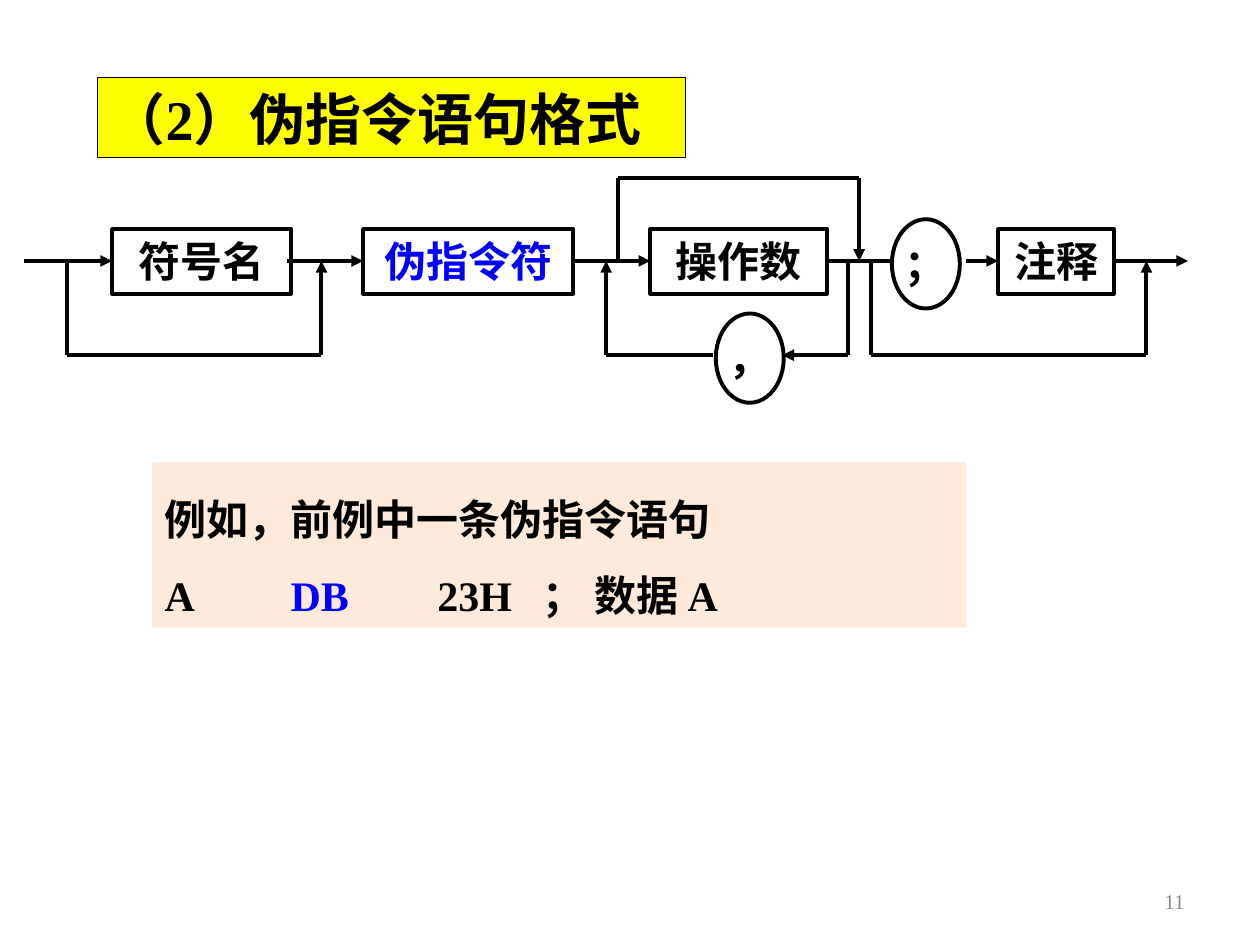
"""Build the slide on the format of a pseudo-instruction statement."""
from dataclasses import dataclass
from itertools import pairwise

from lxml import etree
from pptx import Presentation
from pptx.dml.color import RGBColor
from pptx.enum.shapes import MSO_CONNECTOR, MSO_SHAPE
from pptx.enum.text import MSO_ANCHOR, PP_ALIGN
from pptx.oxml.ns import qn
from pptx.util import Cm, Pt

RECT, OVAL = MSO_SHAPE.RECTANGLE, MSO_SHAPE.OVAL
STRAIGHT = MSO_CONNECTOR.STRAIGHT
LEFT, CENTER, RIGHT = PP_ALIGN.LEFT, PP_ALIGN.CENTER, PP_ALIGN.RIGHT
TOP, MIDDLE = MSO_ANCHOR.TOP, MSO_ANCHOR.MIDDLE
FONT = "Times New Roman"
BLACK, BLUE, GREY = "000000", "0000FF", "898989"
YELLOW, PEACH = "FFFF00", "FDEADA"
STROKE = 2.25
MAIN_Y, LOOP_Y, SKIP_Y = 5.26, 7.16, 3.58
BOX_TOP, BOX_HEIGHT = 4.62, 1.3
OVAL_WIDTH, OVAL_HEIGHT = 1.37, 1.8


@dataclass
class Node:
    text: str
    left: float
    width: float = OVAL_WIDTH
    top: float = BOX_TOP
    height: float = BOX_HEIGHT
    kind: int = RECT
    color: str = BLACK


@dataclass
class Route:
    points: list[tuple[float, float]]
    arrow: bool = True


NODES = [
    Node("符号名", 2.26, 3.61),
    Node("伪指令符", 7.32, 4.24, color=BLUE),
    Node("操作数", 13.11, 3.56),
    Node("注释", 20.12, 2.34),
    Node("；", 17.98, top=4.42, height=OVAL_HEIGHT, kind=OVAL),
    Node("，", 14.43, top=6.32, height=OVAL_HEIGHT, kind=OVAL),
]


def straight(start: float, end: float, arrow: bool = True) -> Route:
    """Return a route along the main line."""
    return Route([(start, MAIN_Y), (end, MAIN_Y)], arrow)


def detour(start: float, end: float, y: float) -> Route:
    """Return a route that leaves the main line and comes back to it."""
    return Route([(start, MAIN_Y), (start, y), (end, y), (end, MAIN_Y)])


ROUTES = [
    straight(0.48, 2.26),
    straight(5.79, 7.32),
    straight(11.56, 13.11),
    straight(16.66, 17.98, arrow=False),
    straight(19.48, 20.12),
    straight(22.48, 23.95),
    detour(1.35, 6.48, LOOP_Y),
    detour(12.45, 17.32, SKIP_Y),
    detour(17.55, 23.11, LOOP_Y),
    Route([(17.09, MAIN_Y), (17.09, LOOP_Y), (15.77, LOOP_Y)]),
    Route([(14.38, LOOP_Y), (12.22, LOOP_Y), (12.22, MAIN_Y)]),
]


def rgb(color: str) -> RGBColor:
    """Turn a hex string into a colour."""
    return RGBColor.from_string(color)


def add_run(p, text: str, *, size: float = 24, color: str = BLACK, bold: bool = True) -> None:
    """Add a formatted run to a paragraph."""
    r = p.add_run()
    r.text = text
    r.font.name, r.font.size, r.font.bold = FONT, Pt(size), bold
    r.font.color.rgb = rgb(color)


def write(sp, text: str, *, align=LEFT, anchor=TOP, wrap: bool = False, **style) -> None:
    """Write one line of text into a shape."""
    tf = sp.text_frame
    tf.word_wrap, tf.vertical_anchor = wrap, anchor
    p = tf.paragraphs[0]
    p.alignment = align
    add_run(p, text, **style)


def add_box(s, kind: int, left: float, top: float, width: float, height: float,
            *, fill: str = "", line: float = 0):
    """Add a shape with an optional fill and black outline."""
    sp = s.shapes.add_shape(kind, Cm(left), Cm(top), Cm(width), Cm(height))
    sp.shadow.inherit = False
    if fill:
        sp.fill.solid()
        sp.fill.fore_color.rgb = rgb(fill)
    else:
        sp.fill.background()
    if line:
        sp.line.color.rgb = rgb(BLACK)
        sp.line.width = Pt(line)
    else:
        sp.line.fill.background()
    return sp


def draw_node(s, node: Node) -> None:
    """Draw one element of the syntax diagram."""
    sp = add_box(s, node.kind, node.left, node.top, node.width, node.height, line=STROKE)
    write(sp, node.text, align=CENTER, color=node.color)


def draw_route(s, route: Route) -> None:
    """Draw a route as straight lines, with an arrowhead on the last."""
    for start, end in pairwise(route.points):
        ends = [Cm(v) for v in (*start, *end)]
        cx = s.shapes.add_connector(STRAIGHT, *ends)
        cx.line.color.rgb = rgb(BLACK)
        cx.line.width = Pt(STROKE)
        if route.arrow and end == route.points[-1]:
            ln = cx.line._get_or_add_ln()
            etree.SubElement(ln, qn("a:tailEnd"), type="triangle")
        etree.SubElement(cx._element.spPr, qn("a:effectLst"))


def add_example(s) -> None:
    """Add the panel with the sample statement."""
    sp = add_box(s, RECT, 3.07, 9.32, 16.41, 3.33, fill=PEACH)
    write(sp, "例如，前例中一条伪指令语句", wrap=True)
    tf = sp.text_frame
    p = tf.add_paragraph()
    p.alignment = LEFT
    tabs = etree.SubElement(p._p.get_or_add_pPr(), qn("a:tabLst"))
    for stop in (2.54, 5.5, 7.62):
        etree.SubElement(tabs, qn("a:tab"), pos=str(Cm(stop)), algn="l")
    for text, color in (("A\t", BLACK), ("DB", BLUE), ("\t23H\t； 数据 A", BLACK)):
        add_run(p, text, color=color)
    for p in tf.paragraphs:
        p.line_spacing = 1.5


def main() -> None:
    """Build and save the slide."""
    prs = Presentation()
    prs.slide_width, prs.slide_height = Cm(25.4), Cm(19.05)
    s = prs.slides.add_slide(prs.slide_layouts[6])
    title = add_box(s, RECT, 1.96, 1.57, 11.86, 1.6, fill=YELLOW, line=0.75)
    write(title, "（2）伪指令语句格式", size=32)
    for node in NODES:
        draw_node(s, node)
    for route in ROUTES:
        draw_route(s, route)
    add_example(s)
    number = s.shapes.add_textbox(Cm(18.21), Cm(17.65), Cm(5.92), Cm(1.02))
    write(number, "11", align=RIGHT, anchor=MIDDLE, wrap=True, size=12, color=GREY, bold=False)
    prs.save("out.pptx")


if __name__ == "__main__":
    main()
